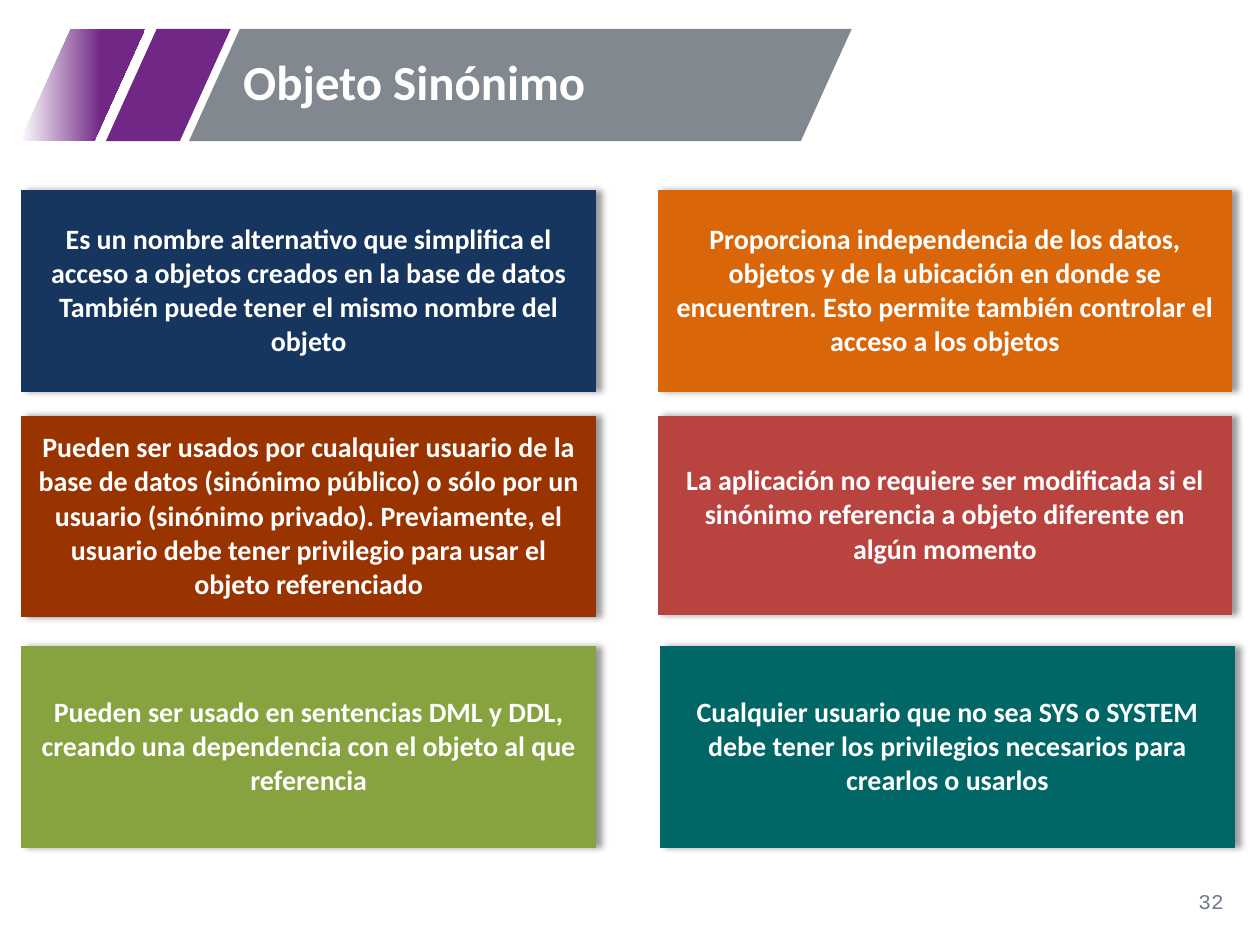
from typing import NamedTuple

from pptx import Presentation
from pptx.dml.color import RGBColor
from pptx.enum.shapes import MSO_SHAPE
from pptx.enum.text import MSO_ANCHOR, PP_ALIGN
from pptx.oxml import parse_xml
from pptx.oxml.ns import nsdecls, qn
from pptx.util import Inches, Pt

COLORS = {
    "white": "FFFFFF", "purple": "702785", "gray": "81888F", "slate": "6C7A8A",
    "navy": "17365F", "orange": "D96709", "rust": "993300",
    "red": "B9443F", "green": "86A33F", "teal": "006666",
}
NO_STYLE = "{2D5ABB26-0587-4C30-8999-92F81FD0307C}"
SHADOW = (
    f'<a:effectLst {nsdecls("a")}>'
    '<a:outerShdw blurRad="50800" dist="38100" algn="l" rotWithShape="0">'
    '<a:srgbClr val="000000"><a:alpha val="40000"/></a:srgbClr>'
    '</a:outerShdw></a:effectLst>'
)


class Band(NamedTuple):
    left: float
    width: float
    color: str
    fade: bool = False


class Card(NamedTuple):
    left: float
    top: float
    color: str
    text: str
    height: float = 1.6


HEAD_TOP, HEAD_HIGH = 0.23, 0.89
CARD_WIDE = 4.56
COL_A, COL_B = 0.17, 5.22
ROWS = (1.51, 3.3, 5.13)

BANDS = [
    Band(0.84, 0.99, "purple"),
    Band(0.16, 0.99, "purple", fade=True),
    Band(1.5, 5.26, "gray"),
]
CARDS = [
    Card(COL_A, ROWS[0], "navy",
         "Es un nombre alternativo que simplifica el acceso a objetos creados en "
         "la base de datos También puede tener el mismo nombre del objeto"),
    Card(COL_B, ROWS[0], "orange",
         "Proporciona independencia de los datos, objetos y de la ubicación en "
         "donde se encuentren. Esto permite también controlar el acceso a los objetos"),
    Card(COL_A, ROWS[1], "rust",
         "Pueden ser usados por cualquier usuario de la base de datos (sinónimo "
         "público) o sólo por un usuario (sinónimo privado). Previamente, el usuario "
         "debe tener privilegio para usar el objeto referenciado"),
    Card(COL_B, ROWS[1], "red",
         "La aplicación no requiere ser modificada si el sinónimo referencia a "
         "objeto diferente en algún momento", height=1.58),
    Card(COL_A, ROWS[2], "green",
         "Pueden ser usado en sentencias DML y DDL, creando una dependencia con "
         "el objeto al que referencia"),
    Card(COL_B + 0.02, ROWS[2], "teal",
         "Cualquier usuario que no sea SYS o SYSTEM debe tener los privilegios "
         "necesarios para crearlos o usarlos"),
]


def rgb(name: str) -> RGBColor:
    return RGBColor.from_string(COLORS[name])


def set_text(frame, text: str, align, color: str = "white", **font) -> None:
    frame.text = text
    frame.word_wrap = True
    para = frame.paragraphs[0]
    para.alignment = align
    run = para.runs[0]
    for key, value in font.items():
        setattr(run.font, key, value)
    run.font.color.rgb = rgb(color)


def draw_band(slide, band: Band) -> None:
    shape = slide.shapes.add_shape(
        MSO_SHAPE.PARALLELOGRAM, Inches(band.left), Inches(HEAD_TOP),
        Inches(band.width), Inches(HEAD_HIGH))
    shape.adjustments[0] = 0.453
    shape.shadow.inherit = False
    shape.line.fill.background()
    if not band.fade:
        shape.fill.solid()
        shape.fill.fore_color.rgb = rgb(band.color)
        return
    shape.fill.gradient()
    shape.fill.gradient_angle = 0
    stops = zip(shape.fill.gradient_stops, (0, 0.65), ("white", band.color))
    for stop, place, color in stops:
        stop.position = place
        stop.color.rgb = rgb(color)


def draw_card(slide, card: Card) -> None:
    table = slide.shapes.add_table(
        1, 1, Inches(card.left), Inches(card.top),
        Inches(CARD_WIDE), Inches(card.height)).table
    table.first_row = table.horz_banding = False
    props = table._tbl.tblPr
    props.find(qn("a:tableStyleId")).text = NO_STYLE
    props.insert(0, parse_xml(SHADOW))
    cell = table.cell(0, 0)
    cell.fill.solid()
    cell.fill.fore_color.rgb = rgb(card.color)
    cell.vertical_anchor = MSO_ANCHOR.MIDDLE
    set_text(cell.text_frame, card.text, PP_ALIGN.CENTER,
             name="Calibri", size=Pt(16), bold=True)


def main() -> None:
    deck = Presentation()
    deck.slide_width, deck.slide_height = Inches(10), Inches(7.5)
    slide = deck.slides.add_slide(deck.slide_layouts[5])

    # Header bands
    for band in BANDS:
        draw_band(slide, band)

    # Page number
    page = slide.shapes.add_textbox(
        Inches(7.56), Inches(6.95), Inches(2.25), Inches(0.4))
    page.text_frame.vertical_anchor = MSO_ANCHOR.MIDDLE
    set_text(page.text_frame, "32", PP_ALIGN.RIGHT, "slate",
             name="Courier New", size=Pt(12))

    # Title, raised above the bands
    title = slide.shapes.title
    place = {"left": 1.83, "top": HEAD_TOP, "width": 4.69, "height": HEAD_HIGH}
    for key, value in place.items():
        setattr(title, key, Inches(value))
    title.text_frame.vertical_anchor = MSO_ANCHOR.MIDDLE
    set_text(title.text_frame, "Objeto Sinónimo", PP_ALIGN.LEFT,
             name="Calibri", size=Pt(28), bold=True)
    title.text_frame.paragraphs[0].line_spacing = 0.9
    slide.shapes._spTree.append(title._element)

    # Cards
    for card in CARDS:
        draw_card(slide, card)

    deck.save("out.pptx")


if __name__ == "__main__":
    main()
